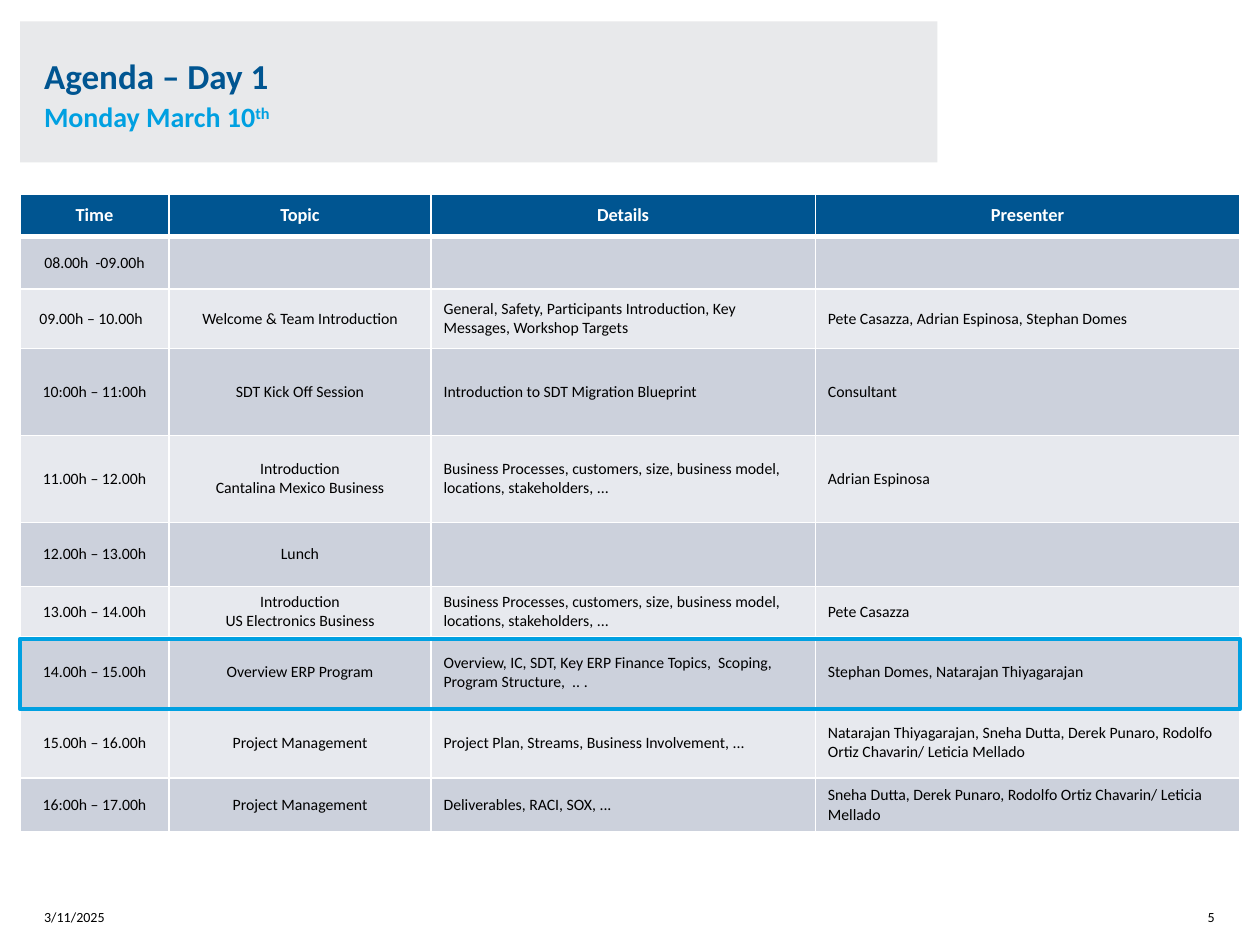
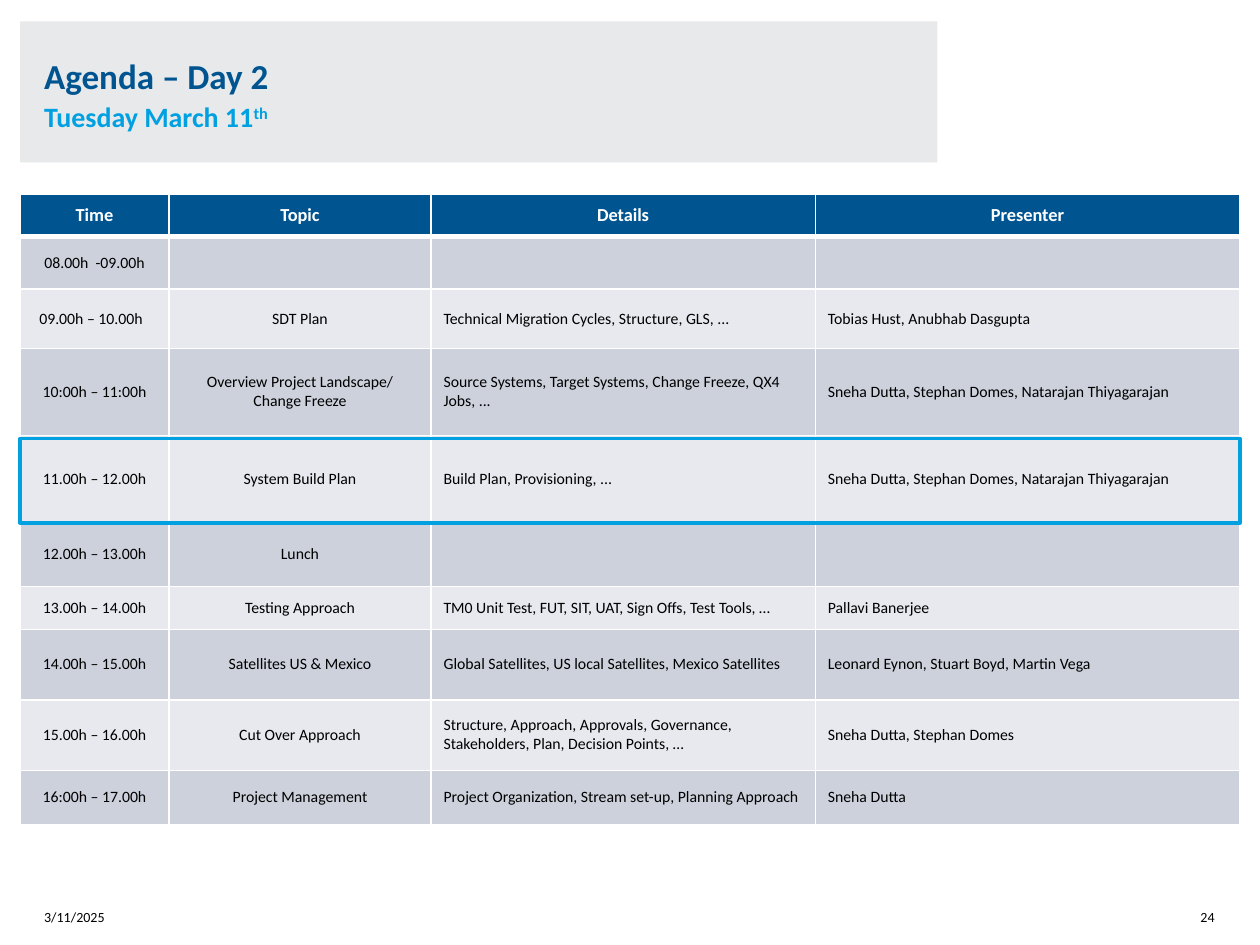
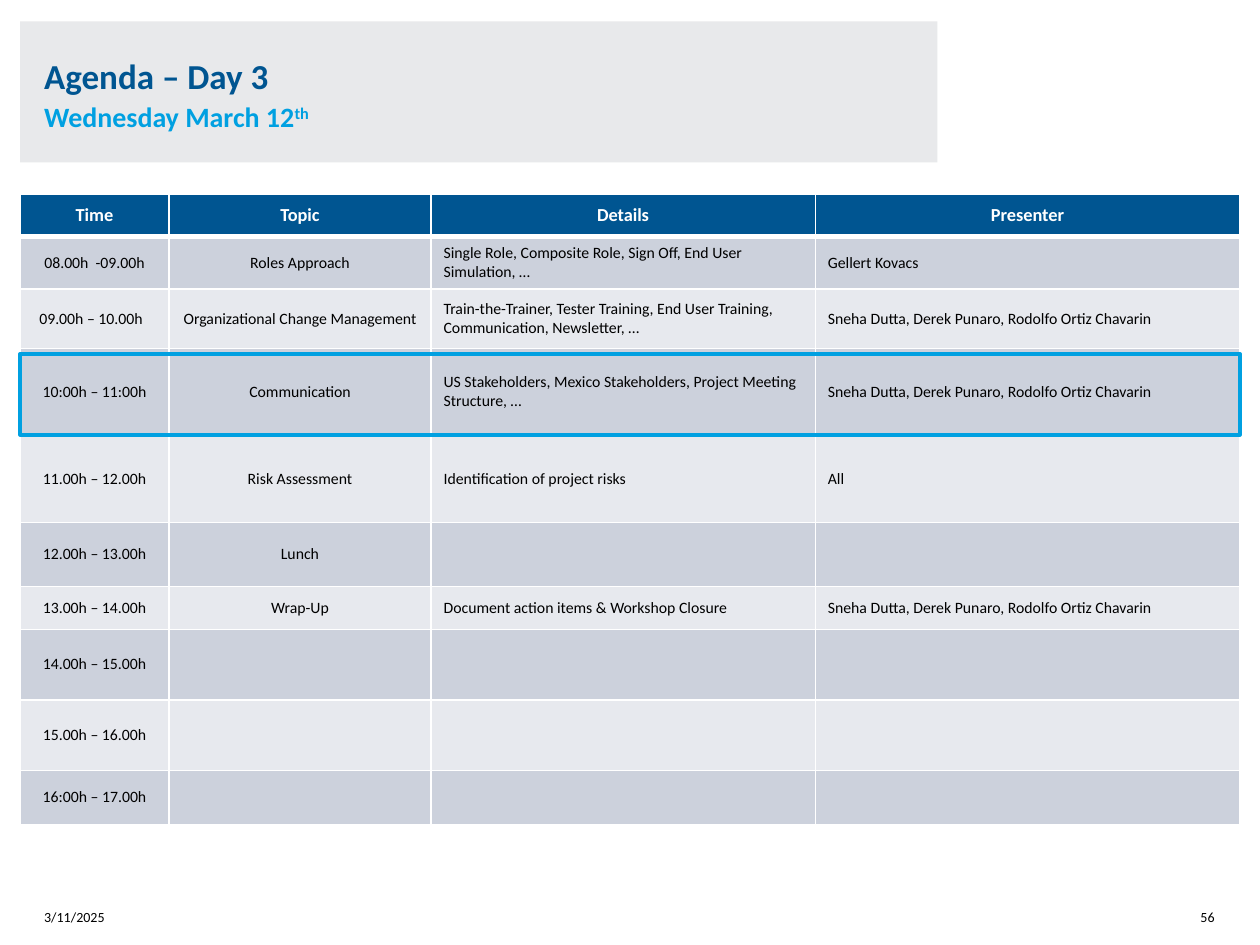
from dataclasses import dataclass

from lxml import etree
from pptx import Presentation
from pptx import util as u
from pptx.dml.color import RGBColor
from pptx.enum import shapes, text
from pptx.oxml import ns

Pt = u.Pt


@dataclass(frozen=True)
class Theme:
    font: str = "Calibri"
    navy: str = "005591"
    sky: str = "00A0E1"
    band: str = "E8E9EB"
    row_dark: str = "CCD1DC"
    row_light: str = "E7E9EE"
    white: str = "FFFFFF"
    black: str = "000000"
    title_size: float = 20
    subtitle_size: float = 16
    header_size: float = 10.5
    body_size: float = 9
    footer_size: float = 8


# Layout, in points
LEFT, TABLE_WIDTH = 11.5, 697
BAND = (LEFT, 12.2, 524.2, 80.6)
DATE_BOX = (25.2, 508.3, 56.9, 20.2)
NUMBER_BOX = (666, 508.3, 28.1, 20.2)
TABLE_TOP = 110.9
COLUMN_WIDTHS = [85, 149.8, 219.6, 242.6]
ROW_HEIGHTS = [24.2, 30.2, 33.8, 49.7, 49.7, 36.7, 24.5, 40.3, 40.3, 31]
CENTERED_COLUMNS = 2

# Agenda content
DATE = "3/11/2025"
HEADERS = ["Time", "Topic", "Details", "Presenter"]
TIMES = ["08.00h  -09.00h", "09.00h – 10.00h", "10:00h – 11:00h",
         "11.00h – 12.00h", "12.00h – 13.00h", "13.00h – 14.00h",
         "14.00h – 15.00h", "15.00h – 16.00h", "16:00h – 17.00h"]
EMPTY = ("", "", "")
LUNCH = ("Lunch", "", "")
BUSINESS = ("Business Processes, customers, size, business model, "
            "locations, stakeholders, ...")
BUILD_TEAM = "Sneha Dutta, Stephan Domes, Natarajan Thiyagarajan"
CHANGE_TEAM = "Sneha Dutta, Derek Punaro, Rodolfo Ortiz Chavarin"


@dataclass
class Day:
    title: str
    date: str
    page: int
    highlight_top: float
    highlight_height: float
    sessions: list


DAYS = [
    Day("Agenda – Day 1", "Monday March 10", 5, 365, 40.3, [
        EMPTY,
        ("Welcome & Team Introduction",
         "General, Safety, Participants Introduction, Key Messages, Workshop Targets",
         "Pete Casazza, Adrian Espinosa, Stephan Domes"),
        ("SDT Kick Off Session", "Introduction to SDT Migration Blueprint", "Consultant"),
        ("Introduction\nCantalina Mexico Business", BUSINESS, "Adrian Espinosa"),
        LUNCH,
        ("Introduction\nUS Electronics Business", BUSINESS, "Pete Casazza"),
        ("Overview ERP Program",
         "Overview, IC, SDT, Key ERP Finance Topics,  Scoping, Program Structure,  .. .",
         "Stephan Domes, Natarajan Thiyagarajan"),
        ("Project Management", "Project Plan, Streams, Business Involvement, ...",
         f"Natarajan Thiyagarajan, {CHANGE_TEAM}/ Leticia Mellado"),
        ("Project Management", "Deliverables, RACI, SOX, ...",
         f"{CHANGE_TEAM}/ Leticia Mellado"),
    ]),
    Day("Agenda – Day 2", "Tuesday March 11", 24, 250.6, 48.2, [
        EMPTY,
        ("SDT Plan", "Technical Migration Cycles, Structure, GLS, ...",
         "Tobias Hust, Anubhab Dasgupta"),
        ("Overview Project Landscape/ Change Freeze",
         "Source Systems, Target Systems, Change Freeze, QX4 Jobs, ...", BUILD_TEAM),
        ("System Build Plan", "Build Plan, Provisioning, ...", BUILD_TEAM),
        LUNCH,
        ("Testing Approach", "TM0 Unit Test, FUT, SIT, UAT, Sign Offs, Test Tools, …",
         "Pallavi Banerjee"),
        ("Satellites US & Mexico",
         "Global Satellites, US local Satellites, Mexico Satellites",
         "Leonard Eynon, Stuart Boyd, Martin Vega"),
        ("Cut Over Approach",
         "Structure, Approach, Approvals, Governance, Stakeholders, Plan, "
         "Decision Points, …", "Sneha Dutta, Stephan Domes"),
        ("Project Management", "Project Organization, Stream set-up, Planning Approach",
         "Sneha Dutta"),
    ]),
    Day("Agenda – Day 3", "Wednesday March 12", 56, 202.3, 46.1, [
        ("Roles Approach", "Single Role, Composite Role, Sign Off, End User Simulation, …",
         "Gellert Kovacs"),
        ("Organizational Change Management",
         "Train-the-Trainer, Tester Training, End User Training, "
         "Communication, Newsletter, …", CHANGE_TEAM),
        ("Communication",
         "US Stakeholders, Mexico Stakeholders, Project Meeting Structure, …",
         CHANGE_TEAM),
        ("Risk Assessment", "Identification of project risks", "All"),
        LUNCH,
        ("Wrap-Up", "Document action items & Workshop Closure", CHANGE_TEAM),
        EMPTY, EMPTY, EMPTY,
    ]),
]


class Deck:
    """Holds the theme and the current slide."""

    def __init__(self, theme):
        self.theme = theme
        self.presentation = Presentation()
        self.presentation.slide_width = Pt(720)
        self.presentation.slide_height = Pt(540)
        self.slide = None

    def new_slide(self):
        self.slide = self.presentation.slides.add_slide(
            self.presentation.slide_layouts[6])

    def style(self, run, size, color, bold=False):
        run.font.name = self.theme.font
        run.font.size = Pt(size)
        run.font.bold = bold
        run.font.color.rgb = RGBColor.from_string(color)

    def rectangle(self, box, fill=None, line=None):
        shape = self.slide.shapes.add_shape(
            shapes.MSO_SHAPE.RECTANGLE, *map(Pt, box))
        shape.shadow.inherit = False
        if fill:
            shape.fill.solid()
            shape.fill.fore_color.rgb = RGBColor.from_string(fill)
        else:
            shape.fill.background()
        if line:
            shape.line.color.rgb = RGBColor.from_string(line)
            shape.line.width = Pt(2.25)
        else:
            shape.line.fill.background()

    def text_box(self, box, content, anchor, side_margin=0):
        frame = self.slide.shapes.add_textbox(*map(Pt, box)).text_frame
        frame.word_wrap = True
        frame.vertical_anchor = anchor
        frame.margin_left = frame.margin_right = Pt(side_margin)
        frame.margin_top = frame.margin_bottom = 0
        frame.text = content
        return frame.paragraphs[0]

    def title(self, title, date):
        theme = self.theme
        self.rectangle(BAND, fill=theme.band)
        paragraph = self.text_box(BAND, f"{title}\v{date}", text.MSO_ANCHOR.MIDDLE, 13.7)
        paragraph.line_spacing = 1.1
        paragraph.add_run().text = "th"
        heading, day, suffix = paragraph.runs
        self.style(heading, theme.title_size, theme.navy, bold=True)
        for run in (day, suffix):
            self.style(run, theme.subtitle_size, theme.sky, bold=True)
        suffix.font._element.set("baseline", "30000")

    def footer(self, page):
        for box, content, alignment in (
                (DATE_BOX, DATE, text.PP_ALIGN.LEFT),
                (NUMBER_BOX, str(page), text.PP_ALIGN.RIGHT)):
            paragraph = self.text_box(box, content, text.MSO_ANCHOR.BOTTOM)
            paragraph.alignment = alignment
            self.style(paragraph.runs[0], self.theme.footer_size, self.theme.black)

    def borders(self, cell, top, bottom):
        properties = cell._tc.get_or_add_tcPr()
        for side, width in (("L", 1), ("R", 1), ("T", top), ("B", bottom)):
            line = etree.SubElement(properties, ns.qn(f"a:ln{side}"), w=str(Pt(width)))
            fill = etree.SubElement(line, ns.qn("a:solidFill"))
            etree.SubElement(fill, ns.qn("a:srgbClr"), val=self.theme.white)

    def cell(self, cell, content, row, column):
        theme = self.theme
        header = row == 0
        self.borders(cell, top=3 if row == 1 else 1, bottom=3 if header else 1)
        color = theme.navy if header else theme.row_dark if row % 2 else theme.row_light
        cell.fill.solid()
        cell.fill.fore_color.rgb = RGBColor.from_string(color)
        cell.vertical_anchor = text.MSO_ANCHOR.MIDDLE
        cell.text_frame.text = content
        for paragraph in cell.text_frame.paragraphs:
            if header or column < CENTERED_COLUMNS:
                paragraph.alignment = text.PP_ALIGN.CENTER
            for run in paragraph.runs:
                if header:
                    self.style(run, theme.header_size, theme.white, bold=True)
                else:
                    self.style(run, theme.body_size, theme.black)

    def table(self, rows):
        table = self.slide.shapes.add_table(
            len(rows), len(COLUMN_WIDTHS), Pt(LEFT), Pt(TABLE_TOP),
            Pt(TABLE_WIDTH), Pt(sum(ROW_HEIGHTS))).table
        table.horz_banding = False
        for column, width in zip(table.columns, COLUMN_WIDTHS):
            column.width = Pt(width)
        for row, height in zip(table.rows, ROW_HEIGHTS):
            row.height = Pt(height)
        for i, row in enumerate(rows):
            for j, content in enumerate(row):
                self.cell(table.cell(i, j), content, i, j)
        # The 09.00h entry sits slightly left of the column centre
        table.cell(2, 0).margin_right = Pt(11.2)


def main():
    deck = Deck(Theme())
    for day in DAYS:
        deck.new_slide()
        deck.title(day.title, day.date)
        deck.footer(day.page)
        deck.table([HEADERS] + [(time, *session)
                                for time, session in zip(TIMES, day.sessions)])
        deck.rectangle((LEFT, day.highlight_top, TABLE_WIDTH, day.highlight_height),
                       line=deck.theme.sky)
    deck.presentation.save("out.pptx")


if __name__ == "__main__":
    main()
